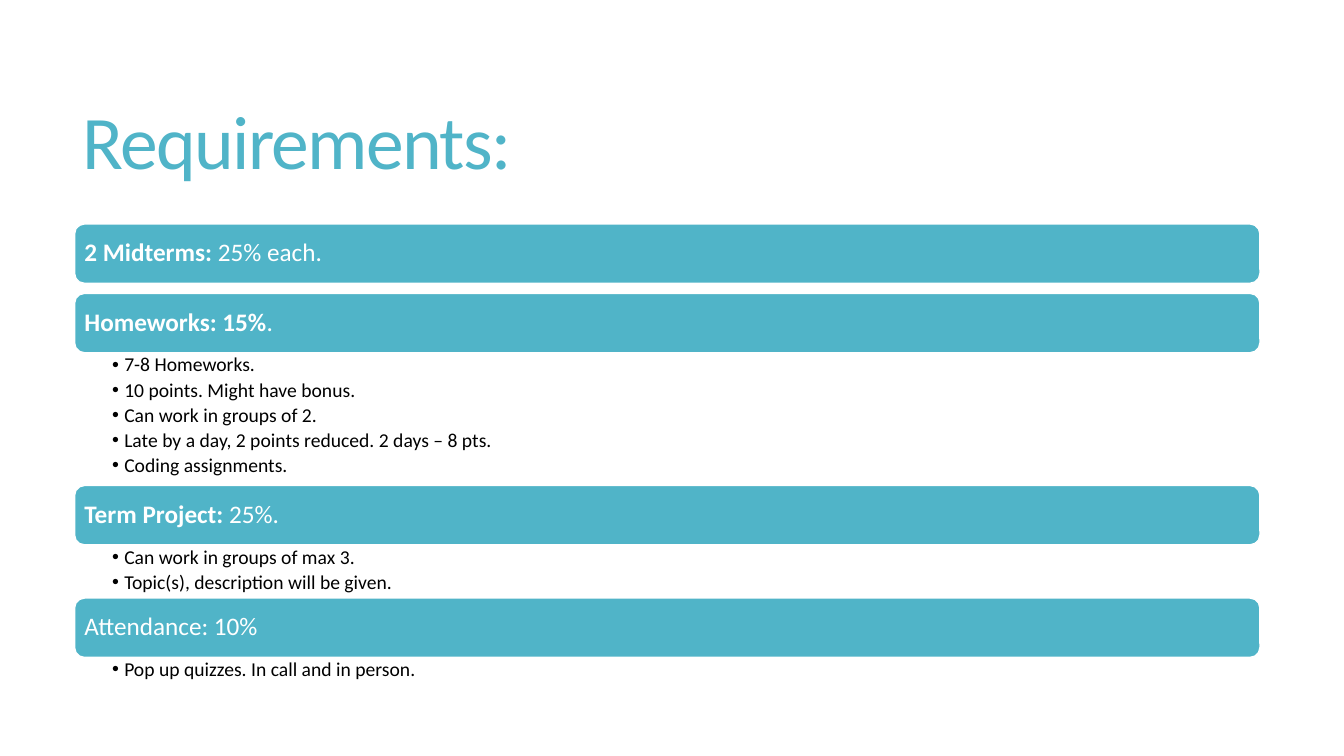
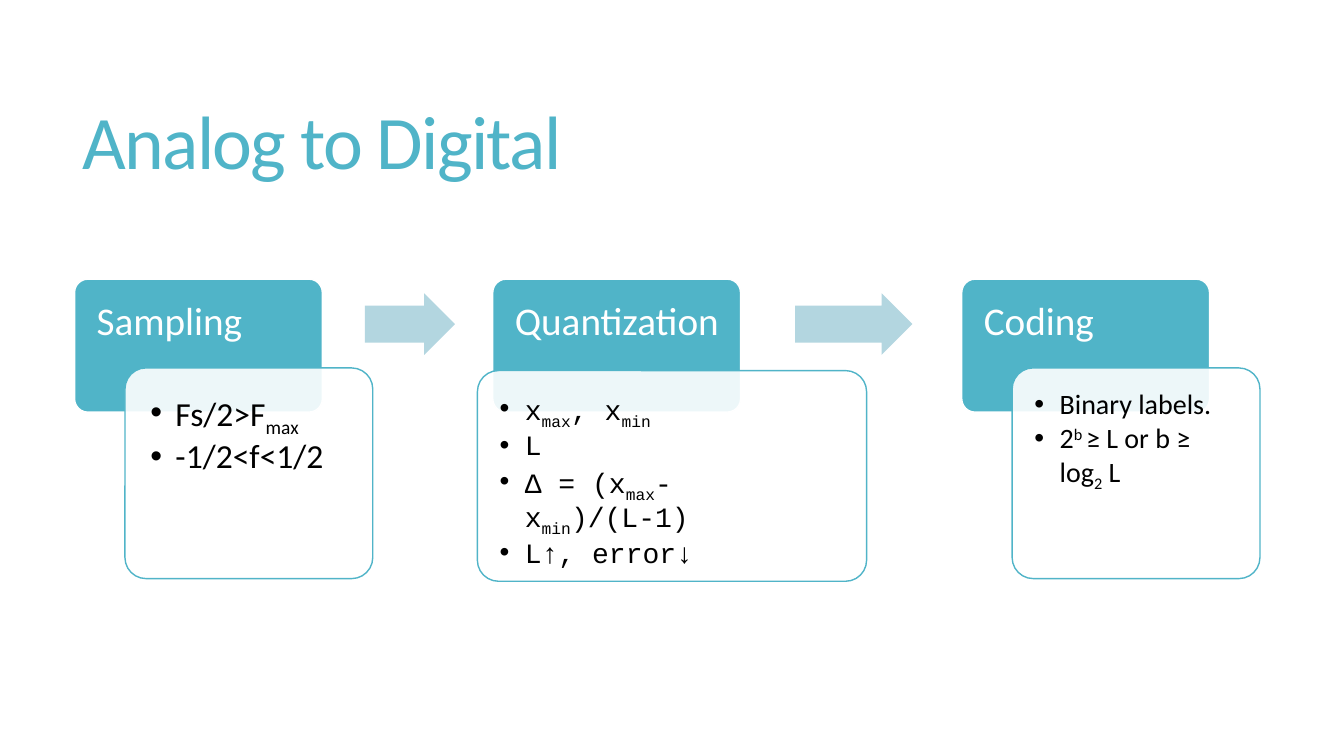
from lxml import etree
from pptx import Presentation
from pptx.dml.color import RGBColor
from pptx.enum.shapes import MSO_SHAPE
from pptx.enum.text import MSO_ANCHOR, PP_ALIGN
from pptx.oxml.ns import qn
from pptx.util import Pt

ROUNDED = MSO_SHAPE.ROUNDED_RECTANGLE
ARROW = MSO_SHAPE.RIGHT_ARROW
TOP, MIDDLE = MSO_ANCHOR.TOP, MSO_ANCHOR.MIDDLE
LEFT = PP_ALIGN.LEFT

TEAL, PALE_TEAL, WHITE, BLACK = "50B4C8", "B3D6E0", "FFFFFF", "000000"
BODY_FONT, CODE_FONT = "Calibri", "Courier New"
BOLD = {"bold": True}
SUB, SUPER = {"baseline": "-25000"}, {"baseline": "30000"}

MARGIN, CONTENT_WIDTH = 53.3, 846.7
BAR_HEIGHT, BAR_GAP, BARS_TOP = 42.4, 7.2, 160
HEADER_SIZE, HEADER_TOP = (177, 95), 199.4
DETAIL_HEIGHT = 150.5
ARROW_TOP, ARROW_HEIGHT = 209.5, 44

# Each bar: heading runs, bullets, height of the bullet block
REQUIREMENTS = [
    ([("2 Midterms:", BOLD), " 25% each."], [], BAR_GAP),
    ([("Homeworks: 15%", BOLD), "."],
     [["7-8 Homeworks."],
      ["10 points. Might have bonus."],
      ["Can work in groups of 2."],
      ["Late by a day, 2 points reduced. 2 days – 8 pts."],
      ["Coding assignments."]], 94.8),
    ([("Term Project:", BOLD), " 25%."],
     [["Can work in groups of max 3."],
      ["Topic(s), description will be given."]], 38),
    (["Attendance: 10%"], [["Pop up quizzes. In call and in person."]], 38),
]

# Each stage: name, header left, detail (left, top, width), text format, inset, bullets
STAGES = [
    ("Sampling", 53.3, (89.3, 262.8, 177),
     {"name": BODY_FONT, "size": Pt(24)}, 13.7,
     [["Fs/2>F", ("max", SUB)],
      ["-1/2<f<1/2"]]),
    ("Quantization", 352, (341, 264.7, 278),
     {"name": CODE_FONT, "size": Pt(20)}, 11.5,
     [["x", ("max", SUB), ", x", ("min", SUB)],
      ["L"],
      ["Δ = (x", ("max", SUB), "- x", ("min", SUB), ")/(L-1)"],
      ["L↑, error↓"]]),
    ("Coding", 687, (723, 262.8, 177),
     {"name": BODY_FONT, "size": Pt(20)}, 11.5,
     [["Binary labels."],
      ["2", ("b ", SUPER), "≥ L or b ≥ log", ("2", SUB), " L"]]),
]
STAGE_ARROWS = [(260.6, 64.4), (568, 83.7)]  # left, width


def rgb(color):
    return RGBColor.from_string(color)


def add_block(slide, preset, box, fill, line=None, corner=None, opacity=None):
    block = slide.shapes.add_shape(preset, *map(Pt, box))
    block.shadow.inherit = False
    block.fill.solid()
    block.fill.fore_color.rgb = rgb(fill)
    if opacity is not None:
        color = block.fill._xPr.find(".//" + qn("a:srgbClr"))
        etree.SubElement(color, qn("a:alpha"), val=str(opacity * 1000))
    if line:
        block.line.color.rgb = rgb(line)
        block.line.width = Pt(1)
    else:
        block.line.fill.background()
    if corner is not None:
        block.adjustments[0] = corner
    return block


def add_bullet(paragraph, indent):
    properties = paragraph._p.get_or_add_pPr()
    properties.set("marL", str(Pt(indent)))
    properties.set("indent", str(-Pt(indent)))
    etree.SubElement(properties, qn("a:buFont"), typeface="Arial")
    etree.SubElement(properties, qn("a:buChar"), char="•")


def write(holder, paragraphs, style, color, insets, anchor=TOP,
          line_spacing=0.9, space_after=0, bullet_indent=None, tracking=None):
    """Fill a shape with paragraphs, each a list of strings or (string, format) runs."""
    frame = holder.text_frame
    left, top, right, bottom = map(Pt, insets)
    layout = {"word_wrap": True, "vertical_anchor": anchor, "margin_left": left,
              "margin_top": top, "margin_right": right, "margin_bottom": bottom}
    for key, value in layout.items():
        setattr(frame, key, value)
    for index, runs in enumerate(paragraphs):
        paragraph = frame.add_paragraph() if index else frame.paragraphs[0]
        paragraph.alignment = LEFT
        paragraph.line_spacing = line_spacing
        paragraph.space_after = Pt(space_after)
        if bullet_indent:
            add_bullet(paragraph, bullet_indent)
        for item in runs:
            text, changes = (item, {}) if isinstance(item, str) else item
            run = paragraph.add_run()
            run.text = text
            run.font.color.rgb = rgb(color)
            for key, value in {**style, "bold": changes.get("bold", False)}.items():
                setattr(run.font, key, value)
            properties = run._r.get_or_add_rPr()
            if "baseline" in changes:
                properties.set("baseline", changes["baseline"])
            if tracking:
                properties.set("spc", str(tracking))


def add_titled_slide(deck, title):
    slide = deck.slides.add_slide(deck.slide_layouts[6])
    title_box = slide.shapes.add_textbox(*map(Pt, (51.8, 39.6, 848.2, 130.3)))
    write(title_box, [[title]], {"name": BODY_FONT, "size": Pt(54)}, TEAL,
          (7.2, 3.6, 7.2, 3.6), MIDDLE, line_spacing=0.85, tracking=-120)
    return slide


def add_requirements(slide):
    top = BARS_TOP
    for heading, bullets, bullets_height in REQUIREMENTS:
        bar = add_block(slide, ROUNDED, (MARGIN, top, CONTENT_WIDTH, BAR_HEIGHT),
                        TEAL, WHITE)
        write(bar, [heading], {"name": BODY_FONT, "size": Pt(18)}, WHITE,
              (5, 5, 5, 5), MIDDLE)
        top += BAR_HEIGHT
        if bullets:
            details = slide.shapes.add_textbox(
                *map(Pt, (MARGIN, top, CONTENT_WIDTH, bullets_height)))
            write(details, bullets, {"name": BODY_FONT, "size": Pt(14)}, BLACK,
                  (26.9, 1.6, 8, 1.6), space_after=2.8, bullet_indent=8.6)
        top += bullets_height


def add_stage(slide, name, left, detail_place, style, inset, bullets):
    header = add_block(slide, ROUNDED, (left, HEADER_TOP, *HEADER_SIZE),
                       TEAL, WHITE, corner=0.1)
    write(header, [[name]], {"name": BODY_FONT, "size": Pt(28)}, WHITE,
          (13, 13, 4, 4))
    detail = add_block(slide, ROUNDED, (*detail_place, DETAIL_HEIGHT),
                       WHITE, TEAL, corner=0.1, opacity=90)
    write(detail, bullets, style, BLACK, [inset] * 4,
          space_after=style["size"].pt * 0.15, bullet_indent=18)


def add_stage_arrow(slide, left, width):
    arrow = add_block(slide, ARROW, (left, ARROW_TOP, width, ARROW_HEIGHT), PALE_TEAL)
    arrow.adjustments[0] = 0.6
    arrow.adjustments[1] = 0.5


def main():
    deck = Presentation()
    deck.slide_width, deck.slide_height = Pt(960), Pt(540)

    add_requirements(add_titled_slide(deck, "Requirements:"))

    conversion = add_titled_slide(deck, "Analog to Digital")
    for stage in STAGES:
        add_stage(conversion, *stage)
    for left, width in STAGE_ARROWS:
        add_stage_arrow(conversion, left, width)

    deck.save("out.pptx")


if __name__ == "__main__":
    main()
